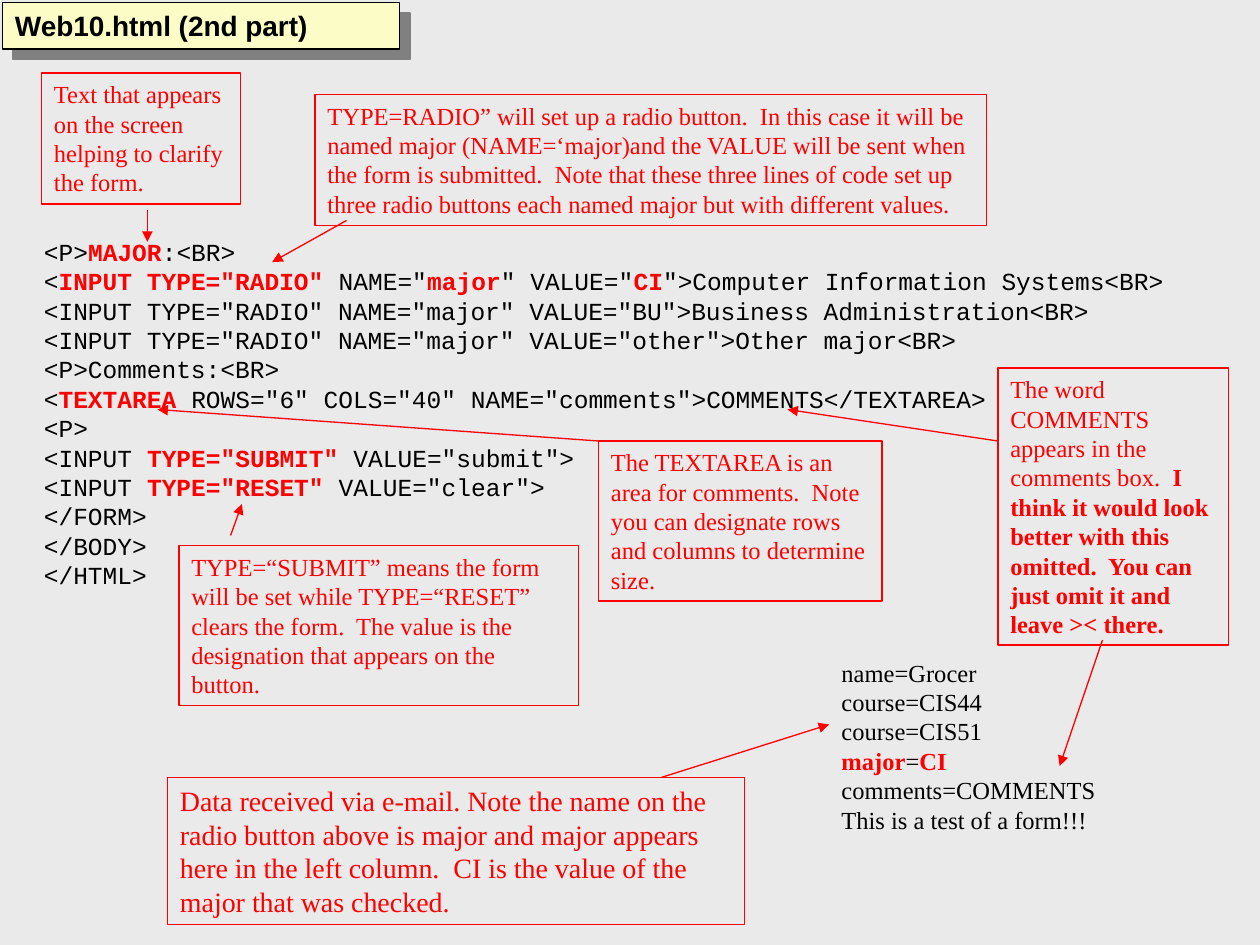
from lxml import etree
from pptx import Presentation
from pptx.dml.color import RGBColor
from pptx.enum.shapes import MSO_CONNECTOR as Connector, MSO_SHAPE as Preset
from pptx.enum.text import MSO_ANCHOR as Anchor, MSO_AUTO_SIZE as AutoSize, PP_ALIGN as Align
from pptx.oxml.ns import qn
from pptx.util import Inches, Pt

BLACK = RGBColor(0x00, 0x00, 0x00)
RED = RGBColor(0xFF, 0x00, 0x00)
CREAM = RGBColor(0xFC, 0xFD, 0xC6)
BACKGROUND = RGBColor(0xEA, 0xEA, 0xEA)
SHADOW = RGBColor(0x80, 0x80, 0x80)
SERIF = "Times New Roman"

CODE = """<P>*MAJOR*:<BR>
<*INPUT TYPE="RADIO"* NAME="*major*" VALUE="*CI*">Computer Information Systems<BR>
<INPUT TYPE="RADIO" NAME="major" VALUE="BU">Business Administration<BR>
<INPUT TYPE="RADIO" NAME="major" VALUE="other">Other major<BR>
<P>Comments:<BR>
<*TEXTAREA* ROWS="6" COLS="40" NAME="comments">COMMENTS</TEXTAREA>
<P>
<INPUT *TYPE="SUBMIT"* VALUE="submit">
<INPUT *TYPE="RESET"* VALUE="clear">
</FORM>
</BODY>
</HTML>"""

RECEIVED = """name=Grocer
course=CIS44
course=CIS51
*major*=*CI*
comments=COMMENTS
This is a test of a form!!!"""

# left, top, width, height, text size, text
CALLOUTS = [
    (2.5, 0.75, 5.33, 1.04, 14,
     "TYPE=RADIO” will set up a radio button.  In this case it will be named major "
     "(NAME=‘major)and the VALUE will be sent when the form is submitted.  Note that "
     "these three lines of code set up three radio buttons each named major but with "
     "different values."),
    (4.75, 3.5, 2.25, 1.27, 14,
     "The TEXTAREA is an area for comments.  Note you can designate rows and columns "
     "to determine size."),
    (7.92, 2.92, 1.83, 2.2, 14,
     "The word COMMENTS appears in the comments box.  *I think it would look better "
     "with this omitted.  You can just omit it and leave >< there.*"),
    (1.42, 4.33, 3.17, 1.27, 14,
     "TYPE=“SUBMIT” means the form will be set while TYPE=“RESET” clears the form.  "
     "The value is the designation that appears on the button."),
    (1.33, 6.17, 4.58, 1.17, 16,
     "Data received via e-mail. Note the name on the radio button above is major and "
     "major appears here in the left column.  CI is the value of the major that was "
     "checked."),
    (0.33, 0.58, 1.58, 1.04, 14,
     "Text that appears on the screen helping to clarify the form."),
]

# start x, start y, end x, end y
ARROWS = [
    (2.75, 1.75, 2.16, 2.08),
    (4.75, 3.5, 1.25, 3.25),
    (7.92, 3.5, 6.25, 3.25),
    (1.83, 4.25, 1.92, 4),
    (5.25, 6.17, 6.58, 5.75),
    (8.75, 5.08, 8.41, 6.08),
    (1.17, 1.67, 1.17, 1.92),
]


def write_text(shape, text, size=14, font=SERIF, color=BLACK, bold=False):
    """Write one paragraph per line; parts between asterisks become bold red."""
    frame = shape.text_frame
    frame.word_wrap = True
    frame.auto_size = AutoSize.SHAPE_TO_FIT_TEXT
    frame.vertical_anchor = Anchor.TOP
    for index, line in enumerate(text.split("\n")):
        paragraph = frame.add_paragraph() if index else frame.paragraphs[0]
        paragraph.alignment = Align.LEFT
        for position, part in enumerate(line.split("*")):
            if not part:
                continue
            emphasised = position % 2 == 1
            run = paragraph.add_run()
            run.text = part
            run.font.size = Pt(size)
            run.font.name = font
            run.font.bold = bold or emphasised
            run.font.color.rgb = RED if emphasised else color


def add_box(left, top, width, height, line_color):
    """Add an unfilled rectangle with a thin outline."""
    box = slide.shapes.add_shape(
        Preset.RECTANGLE, Inches(left), Inches(top), Inches(width), Inches(height))
    box.shadow.inherit = False
    box.fill.background()
    box.line.color.rgb = line_color
    box.line.width = Pt(0.75)
    return box


presentation = Presentation()
presentation.slide_width = Inches(10)
presentation.slide_height = Inches(7.5)
slide = presentation.slides.add_slide(presentation.slide_layouts[6])
slide.background.fill.solid()
slide.background.fill.fore_color.rgb = BACKGROUND

code_box = slide.shapes.add_textbox(Inches(0.25), Inches(1.83), Inches(9.5), Inches(2.9))
write_text(code_box, CODE, font="Courier New")

title = add_box(0.02, 0.02, 3.15, 0.37, BLACK)
title.fill.solid()
title.fill.fore_color.rgb = CREAM
write_text(title, "Web10.html (2nd part)", size=16, font="Arial", bold=True)
effects = title._element.spPr.find(qn("a:effectLst"))
shadow = etree.SubElement(effects, qn("a:outerShdw"), dist=str(Pt(8.5)),
                          dir=str(45 * 60000), algn="ctr", rotWithShape="0")
etree.SubElement(shadow, qn("a:srgbClr"), val=str(SHADOW))

for left, top, width, height, size, text in CALLOUTS:
    callout = add_box(left, top, width, height, RED)
    write_text(callout, text, size=size, color=RED)

received_box = slide.shapes.add_textbox(Inches(6.58), Inches(5.17), Inches(2.3), Inches(1.74))
write_text(received_box, RECEIVED)

for ends in ARROWS:
    arrow = slide.shapes.add_connector(Connector.STRAIGHT, *[Inches(end) for end in ends])
    arrow.line.color.rgb = RED
    arrow.line.width = Pt(0.75)
    etree.SubElement(arrow.line._get_or_add_ln(), qn("a:tailEnd"), type="triangle")
    etree.SubElement(arrow._element.spPr, qn("a:effectLst"))

presentation.save("out.pptx")
